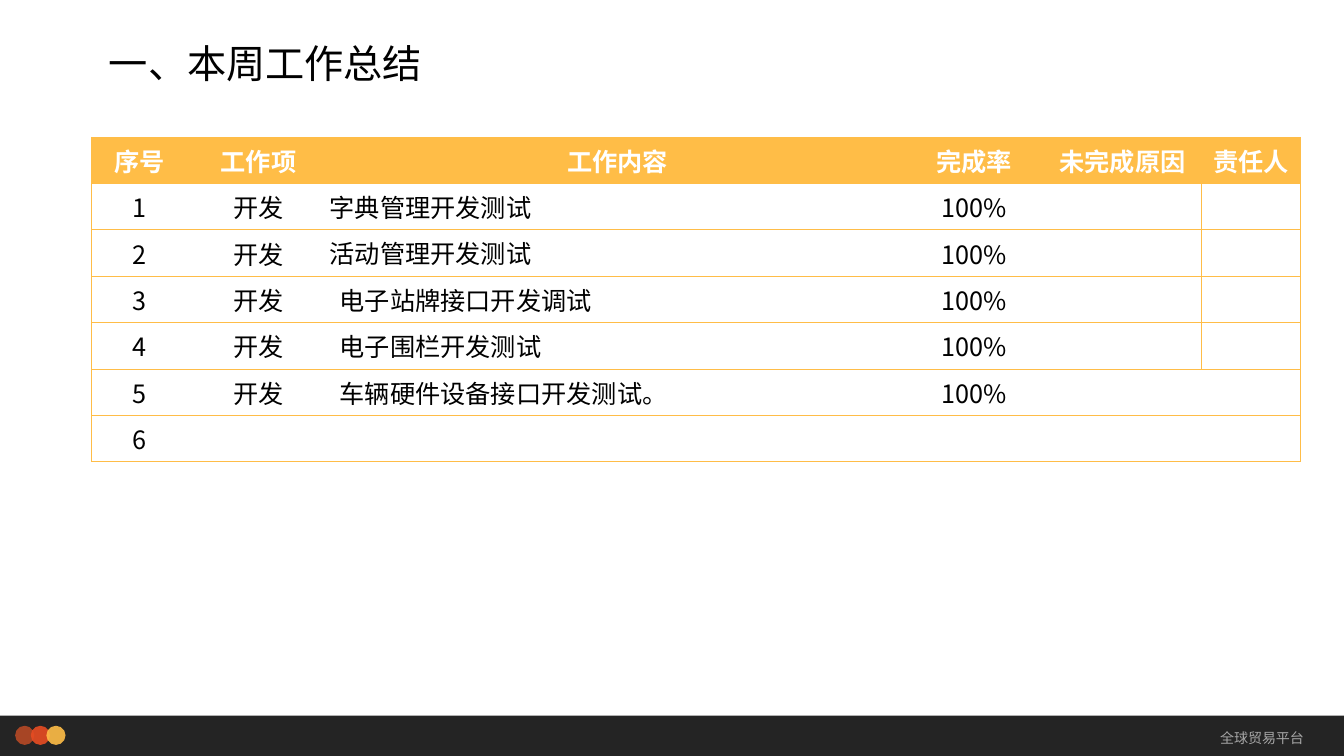
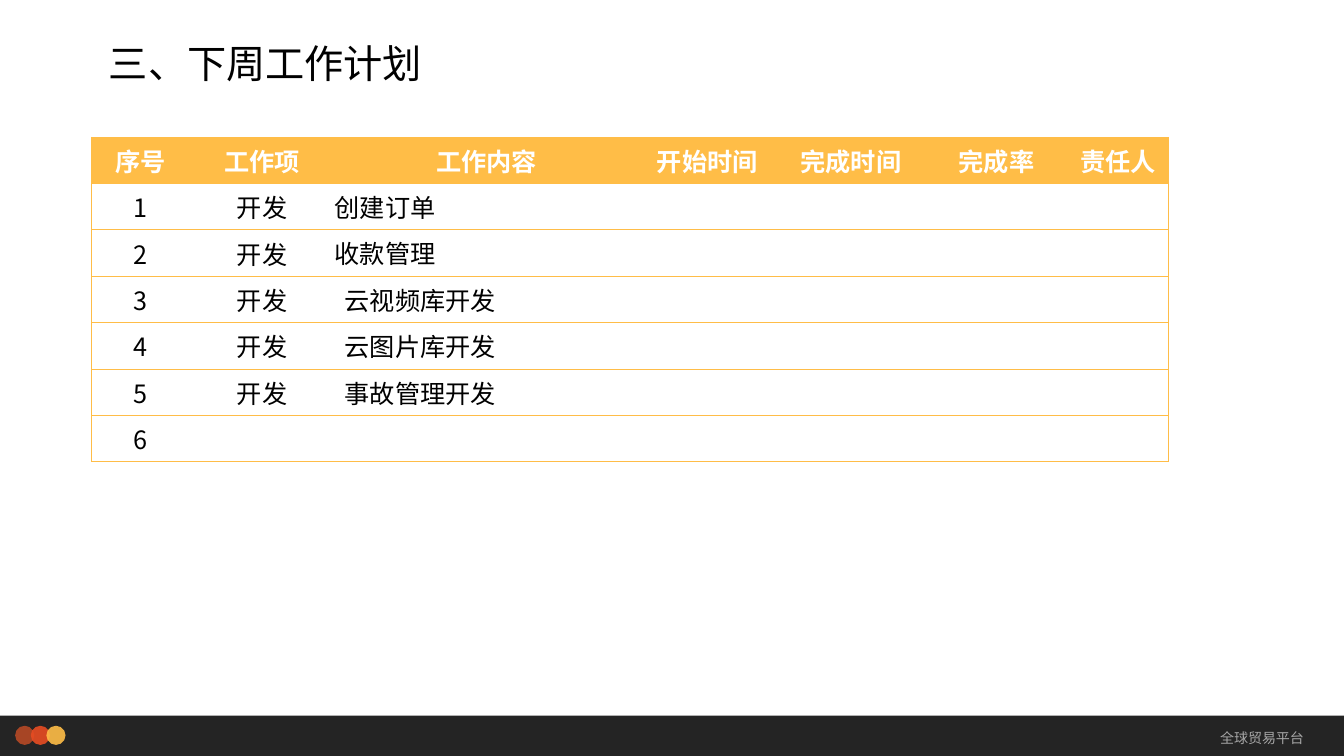
from lxml import etree
from pptx import Presentation
from pptx.dml.color import RGBColor
from pptx.enum.shapes import MSO_SHAPE
from pptx.enum.text import MSO_ANCHOR, MSO_AUTO_SIZE, PP_ALIGN
from pptx.oxml.ns import qn
from pptx.util import Inches, Pt

RECTANGLE, OVAL = MSO_SHAPE.RECTANGLE, MSO_SHAPE.OVAL
LEFT, CENTER, RIGHT = PP_ALIGN.LEFT, PP_ALIGN.CENTER, PP_ALIGN.RIGHT
MIDDLE, BOTTOM = MSO_ANCHOR.MIDDLE, MSO_ANCHOR.BOTTOM

FONT = "Noto Sans CJK SC"
BLACK = RGBColor(0x00, 0x00, 0x00)
WHITE = RGBColor(0xFF, 0xFF, 0xFF)
GRAY = RGBColor(0xA6, 0xA6, 0xA6)
BAND = RGBColor(0x0D, 0x0D, 0x0D)
AMBER = RGBColor(0xFF, 0xBD, 0x47)
DOT_COLORS = (RGBColor(0xB6, 0x49, 0x26), RGBColor(0xE8, 0x4C, 0x22), AMBER)

SLIDE_W, SLIDE_H = 13.33, 7.5
BAND_H = 0.4
BAND_TOP = SLIDE_H - BAND_H
DOT_SIZE, DOT_STEP = 0.19, 0.155
TABLE_LEFT, TABLE_TOP, ROW_H = 0.91, 1.36, 0.46
CONTENT_COLUMN = 2
FLUSH_ROWS = (1, 2)  # rows whose work content has no cell margins
PLAIN_TABLE_STYLE = "{2D5ABB26-0587-4C30-8999-92F81FD0307C}"

SUMMARY_WIDTHS = (0.95, 1.41, 3.51, 0.76, 1.44, 1.37, 1.57, 0.98)
SUMMARY_ROWS = (
    ("序号", "工作项", "工作内容", "", "", "完成率", "未完成原因", "责任人"),
    ("1", "开发", "字典管理开发测试", "", "", "100%", "", ""),
    ("2", "开发", "活动管理开发测试", "", "", "100%", "", ""),
    ("3", "开发", "电子站牌接口开发调试", "", "", "100%", "", ""),
    ("4", "开发", "电子围栏开发测试", "", "", "100%", "", ""),
    ("5", "开发", "车辆硬件设备接口开发测试。", "", "", "100%", "", ""),
    ("6", "", "", "", "", "", "", ""),
)
PLAN_WIDTHS = (0.97, 1.44, 3.01, 1.37, 1.48, 1.41, 1)
PLAN_ROWS = (
    ("序号", "工作项", "工作内容", "开始时间", "完成时间", "完成率", "责任人"),
    ("1", "开发", "创建订单", "", "", "", ""),
    ("2", "开发", "收款管理", "", "", "", ""),
    ("3", "开发", "云视频库开发", "", "", "", ""),
    ("4", "开发", "云图片库开发", "", "", "", ""),
    ("5", "开发", "事故管理开发", "", "", "", ""),
    ("6", "", "", "", "", "", ""),
)


def style_paragraph(paragraph, size, color, align=LEFT, bold=False):
    paragraph.alignment = align
    font = paragraph.font
    font.name, font.size, font.bold = FONT, Pt(size), bold
    font.color.rgb = color
    defaults = paragraph._p.get_or_add_pPr().find(qn("a:defRPr"))
    etree.SubElement(defaults, qn("a:ea"), typeface=FONT)


def add_tinted_shape(slide, kind, left, top, width, height, color):
    """Add a borderless shape filled at 90 % opacity."""
    shape = slide.shapes.add_shape(
        kind, Inches(left), Inches(top), Inches(width), Inches(height))
    shape.shadow.inherit = False
    shape.line.fill.background()
    shape.fill.solid()
    shape.fill.fore_color.rgb = color
    tint = shape.fill._xPr.find(".//" + qn("a:srgbClr"))
    etree.SubElement(tint, qn("a:alpha"), val="90000")


def add_footer(slide):
    add_tinted_shape(slide, RECTANGLE, 0, BAND_TOP, SLIDE_W, BAND_H, BAND)
    for index, color in enumerate(DOT_COLORS):
        add_tinted_shape(slide, OVAL, 0.15 + index * DOT_STEP, BAND_TOP + 0.1,
                         DOT_SIZE, DOT_SIZE, color)
    label = slide.shapes.add_textbox(
        Inches(10.77), Inches(BAND_TOP), Inches(2.26), Inches(0.44)).text_frame
    label.word_wrap = True
    label.vertical_anchor = MIDDLE
    label.text = "全球贸易平台"
    style_paragraph(label.paragraphs[0], 10, GRAY, RIGHT)


def set_title(slide, text):
    title = slide.shapes.title
    title.left, title.top = Inches(0.98), Inches(0.15)
    title.width, title.height = Inches(10), Inches(0.76)
    frame = title.text_frame
    frame.text = text
    frame.auto_size = MSO_AUTO_SIZE.NONE
    frame.vertical_anchor = BOTTOM
    frame.paragraphs[0].line_spacing = 0.9
    style_paragraph(frame.paragraphs[0], 28, BLACK)


def set_borders(cell, sides):
    """Draw thin amber lines on the given sides, in the order L, R, T, B."""
    properties = cell._tc.get_or_add_tcPr()
    for side in sides:
        line = etree.SubElement(properties, qn(f"a:ln{side}"), w=str(Pt(0.5)))
        fill = etree.SubElement(line, qn("a:solidFill"))
        etree.SubElement(fill, qn("a:srgbClr"), val=str(AMBER))


def fill_cell(cell, text, is_header, is_content):
    cell.text = text
    if is_header:
        cell.fill.solid()
        cell.fill.fore_color.rgb = AMBER
    else:
        cell.fill.background()
    style_paragraph(cell.text_frame.paragraphs[0], 18,
                    WHITE if is_header else BLACK,
                    LEFT if is_content and not is_header else CENTER,
                    bold=is_header)


def add_work_table(slide, widths, rows, merges=(), divided_rows=()):
    """merges holds (row, first column, last column); divided_rows get a line
    before the last column."""
    table = slide.shapes.add_table(
        len(rows), len(widths), Inches(TABLE_LEFT), Inches(TABLE_TOP),
        Inches(sum(widths)), Inches(ROW_H * len(rows))).table
    table._tbl.tblPr.find(qn("a:tableStyleId")).text = PLAIN_TABLE_STYLE
    table.horz_banding = False
    for column, width in zip(table.columns, widths):
        column.width = Inches(width)
    last = len(widths) - 1
    for r, texts in enumerate(rows):
        table.rows[r].height = Inches(ROW_H)
        for c, text in enumerate(texts):
            cell = table.cell(r, c)
            has_left = c == 0 or (c == last and r in divided_rows)
            set_borders(cell, "L" * has_left + "R" * (c == last) + "TB")
            fill_cell(cell, text, r == 0, c == CONTENT_COLUMN)
            if r in FLUSH_ROWS and c == CONTENT_COLUMN:
                cell.vertical_anchor = MIDDLE
                cell.margin_left = cell.margin_right = 0
                cell.margin_top = cell.margin_bottom = 0
    for r, first, final in merges:
        table.cell(r, first).merge(table.cell(r, final))


def add_report_slide(prs, title):
    slide = prs.slides.add_slide(prs.slide_layouts[5])
    add_footer(slide)
    set_title(slide, title)
    return slide


def main():
    prs = Presentation()
    prs.slide_width, prs.slide_height = Inches(SLIDE_W), Inches(SLIDE_H)

    summary = add_report_slide(prs, "一、本周工作总结")
    merged_rows = range(1, 5)
    merges = [(0, 2, 4)] + [(r, 3, 4) for r in merged_rows]
    add_work_table(summary, SUMMARY_WIDTHS, SUMMARY_ROWS, merges, merged_rows)

    plan = add_report_slide(prs, "三、下周工作计划")
    add_work_table(plan, PLAN_WIDTHS, PLAN_ROWS)

    prs.save("out.pptx")


if __name__ == "__main__":
    main()
